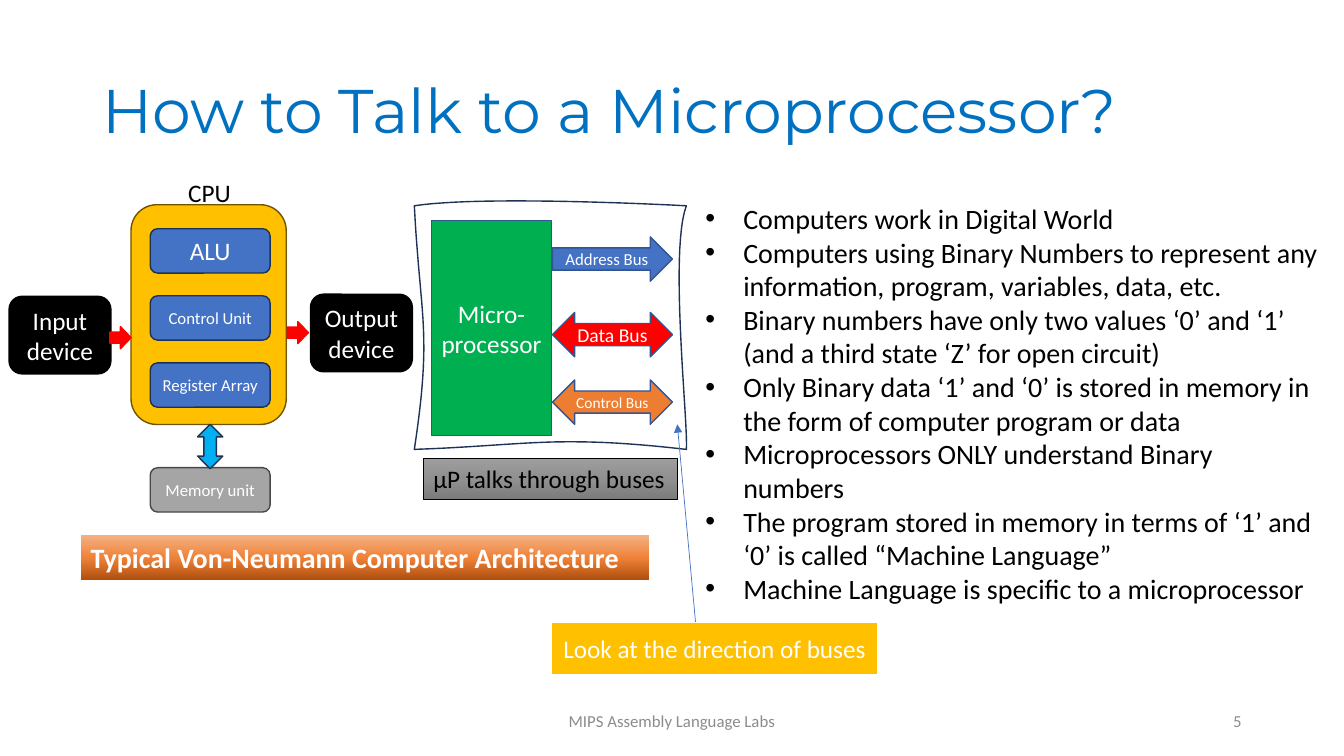
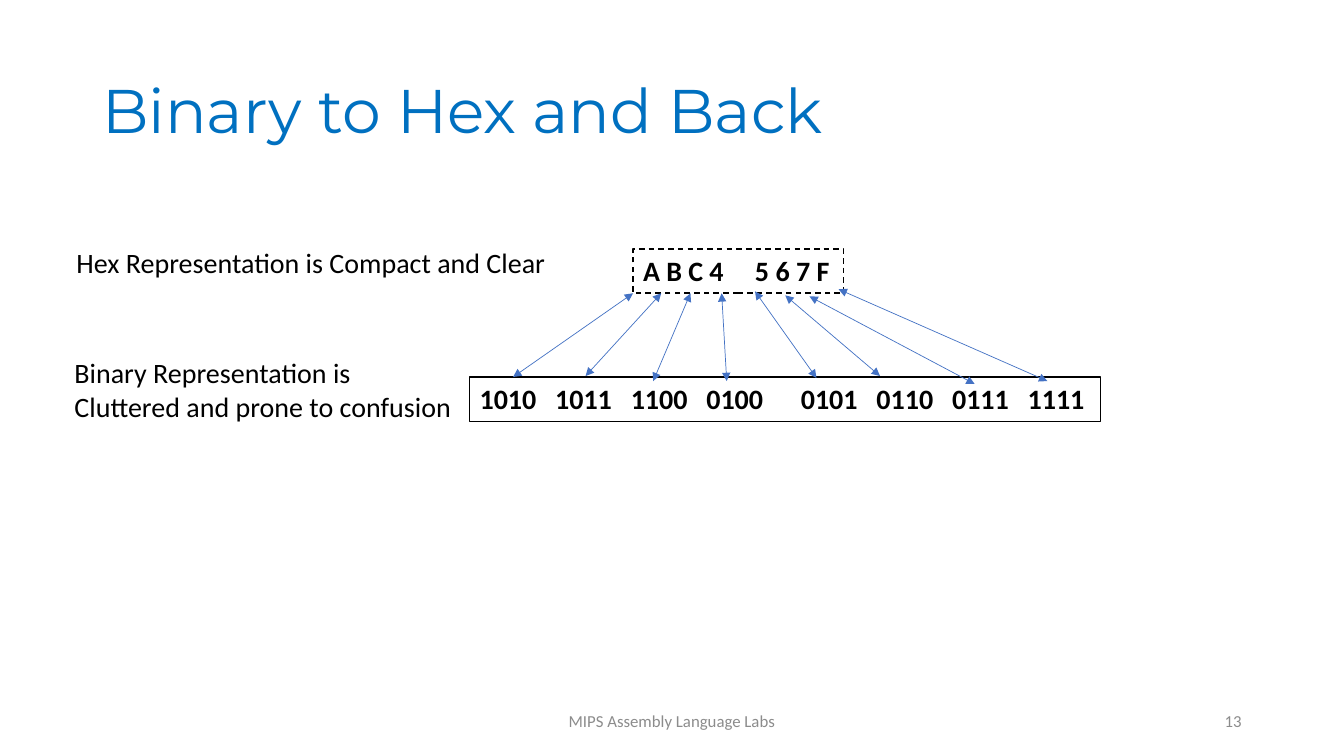
"""Build two lecture slides on microprocessor buses and on binary and hex notation."""

from dataclasses import dataclass
from typing import NamedTuple, Optional

from lxml.etree import SubElement
from pptx import Presentation
from pptx.dml.color import RGBColor
from pptx.enum.dml import MSO_LINE_DASH_STYLE as Dash
from pptx.enum.shapes import MSO_AUTO_SHAPE_TYPE as Kind, MSO_CONNECTOR_TYPE as Link
from pptx.enum.text import MSO_VERTICAL_ANCHOR as Anchor, PP_PARAGRAPH_ALIGNMENT as Align
from pptx.oxml.ns import qn
from pptx.shapes.autoshape import Shape
from pptx.slide import Slide
from pptx.util import Pt


@dataclass(frozen=True)
class Theme:
    title_font: str = "Montserrat"
    body_font: str = "Calibri"
    title_blue: str = "0070C0"
    black: str = "000000"
    white: str = "FFFFFF"
    muted: str = "8C8C8C"
    blue: str = "4472C4"
    navy: str = "1E3256"
    bus_edge: str = "325491"
    green: str = "00B050"
    red: str = "FF0000"
    orange: str = "ED7D31"
    gold: str = "FFC000"
    gold_edge: str = "705400"
    sky: str = "00B0F0"
    gray: str = "A5A5A5"
    gray_edge: str = "484848"
    orange_fade: tuple = ((0, "F4B183"), (52, "EE8137"), (100, "B0500F"))
    gray_fade: tuple = ((0, "9D9D9D"), (50, "909090"), (100, "7C7C7C"))
    title_size: float = 44
    body_size: float = 20
    label_size: float = 18
    data_bus_size: float = 14
    small_size: float = 12
    control_bus_size: float = 11


THEME = Theme()


class Box(NamedTuple):
    left: float
    top: float
    width: float
    height: float


class Spot(NamedTuple):
    x: float
    y: float


@dataclass(frozen=True)
class Words:
    text: str
    size: float = THEME.body_size
    color: str = THEME.black
    font: str = THEME.body_font
    bold: bool = False
    align: Align = Align.LEFT
    anchor: Anchor = Anchor.TOP
    wrap: bool = True
    spacing: Optional[float] = None
    bullet_indent: float = 0
    tabs: tuple = ()


@dataclass(frozen=True)
class Block:
    box: Box
    fill: Optional[str] = None
    edge: Optional[str] = None
    words: Optional[Words] = None
    kind: Kind = Kind.RECTANGLE
    edge_width: float = 1
    dashed: bool = False
    fade: tuple = ()


def label(text: str, size: float = THEME.label_size) -> Words:
    """Return white text centred in its block."""
    return Words(text, size, THEME.white, align=Align.CENTER, anchor=Anchor.MIDDLE)


def write(shape: Shape, words: Words) -> None:
    """Put styled text into a shape."""
    frame = shape.text_frame
    frame.text = words.text
    frame.word_wrap = words.wrap
    frame.vertical_anchor = words.anchor
    for paragraph in frame.paragraphs:
        paragraph.alignment = words.align
        if words.spacing:
            paragraph.line_spacing = words.spacing
        props = paragraph._p.get_or_add_pPr()
        if words.bullet_indent:
            props.set("marL", str(Pt(words.bullet_indent)))
            props.set("indent", str(-Pt(words.bullet_indent)))
            SubElement(props, qn("a:buFont"), typeface="Arial")
            SubElement(props, qn("a:buChar"), char="•")
        if words.tabs:
            stops = SubElement(props, qn("a:tabLst"))
            for stop in words.tabs:
                SubElement(stops, qn("a:tab"), pos=str(Pt(stop)), algn="l")
        for run in paragraph.runs:
            run.font.name = words.font
            run.font.size = Pt(words.size)
            run.font.bold = words.bold
            run.font.color.rgb = RGBColor.from_string(words.color)


def add_text(slide: Slide, box: Box, words: Words) -> None:
    """Add a plain text box."""
    write(slide.shapes.add_textbox(*map(Pt, box)), words)


def paint_fade(shape: Shape, fade: tuple) -> None:
    """Fill a shape with a gradient running from top to bottom."""
    shape.fill.gradient()
    shape.fill.gradient_angle = 270
    stops = shape._element.spPr.find(qn("a:gradFill")).find(qn("a:gsLst"))
    for old in list(stops):
        stops.remove(old)
    for percent, color in fade:
        stop = SubElement(stops, qn("a:gs"), pos=str(percent * 1000))
        SubElement(stop, qn("a:srgbClr"), val=color)


def paint(shape: Shape, block: Block) -> None:
    """Apply the fill and edge of a block."""
    shape.shadow.inherit = False
    if block.fade:
        paint_fade(shape, block.fade)
    elif block.fill:
        shape.fill.solid()
        shape.fill.fore_color.rgb = RGBColor.from_string(block.fill)
    else:
        shape.fill.background()
    if block.edge:
        shape.line.color.rgb = RGBColor.from_string(block.edge)
        shape.line.width = Pt(block.edge_width)
        if block.dashed:
            shape.line.dash_style = Dash.DASH
    else:
        shape.line.fill.background()


def add_block(slide: Slide, block: Block) -> None:
    """Add a preset shape with its text."""
    shape = slide.shapes.add_shape(block.kind, *map(Pt, block.box))
    paint(shape, block)
    if block.words:
        write(shape, block.words)


def add_arrow(slide: Slide, start: Spot, end: Spot, both: bool = False) -> None:
    """Add a thin arrow, pointed at its end or at both ends."""
    arrow = slide.shapes.add_connector(Link.STRAIGHT, *map(Pt, (*start, *end)))
    arrow.line.color.rgb = RGBColor.from_string(THEME.blue)
    arrow.line.width = Pt(0.5)
    line = arrow.line._get_or_add_ln()
    for tip in ("a:headEnd", "a:tailEnd") if both else ("a:tailEnd",):
        SubElement(line, qn(tip), type="triangle")
    SubElement(arrow._element.spPr, qn("a:effectLst"))


def curve(start: Spot, pull: Spot, push: Spot, end: Spot, steps: int = 24) -> list[Spot]:
    """Return points along a cubic curve, without its start."""
    points = []
    for step in range(1, steps + 1):
        t = step / steps
        weights = ((1 - t) ** 3, 3 * t * (1 - t) ** 2, 3 * t * t * (1 - t), t ** 3)
        points.append(Spot(*(sum(w * v for w, v in zip(weights, axis))
                             for axis in zip(start, pull, push, end))))
    return points


def add_wavy_frame(slide: Slide) -> None:
    """Draw the curved outline around the microprocessor."""
    corner = Spot(296, 147)
    sides = (
        (Spot(344, 139.7), Spot(471, 146), Spot(490.3, 147)),
        (Spot(478, 180), Spot(491.8, 302.4), Spot(490.3, 321)),
        (Spot(396.7, 310.3), Spot(376.6, 318.2), Spot(296, 321)),
        (Spot(308.9, 236.2), Spot(300.2, 228.2), corner),
    )
    outline: list[Spot] = [corner]
    for side in sides:
        outline += curve(outline[-1], *side)
    builder = slide.shapes.build_freeform(Pt(corner.x), Pt(corner.y))
    builder.add_line_segments([(Pt(x), Pt(y)) for x, y in outline[1:]], close=True)
    paint(builder.convert_to_shape(), Block(Box(0, 0, 0, 0), edge=THEME.navy))


def start_slide(deck: Presentation, title: str, number: int) -> Slide:
    """Add a blank slide with the shared title and footer."""
    slide = deck.slides.add_slide(deck.slide_layouts[6])
    add_text(slide, Box(66, 28.8, 828, 104.4),
             Words(title, THEME.title_size, THEME.title_blue, THEME.title_font,
                   anchor=Anchor.MIDDLE, spacing=0.9))
    for text, left, width, align in (("MIPS Assembly Language Labs", 318, 324, Align.CENTER),
                                     (str(number), 678, 216, Align.RIGHT)):
        add_text(slide, Box(left, 500.4, width, 28.8),
                 Words(text, THEME.small_size, THEME.muted, align=align, anchor=Anchor.MIDDLE))
    return slide


def build_microprocessor(deck: Presentation) -> None:
    """Build the slide on computer architecture and buses."""
    slide = start_slide(deck, "How to Talk to a Microprocessor?", 5)
    unit_width, unit_height, unit_left, bus_left = 85.7, 31.7, 107.3, 394.6
    rounded, two_way = Kind.ROUNDED_RECTANGLE, Kind.LEFT_RIGHT_ARROW
    blocks = [
        Block(Box(93.6, 146.2, 110.9, 157), THEME.gold, THEME.gold_edge, kind=rounded),
        Block(Box(57.6, 382.3, 406, 31.7), fade=THEME.orange_fade,
              words=Words("Typical Von-Neumann Computer Architecture",
                          color=THEME.white, bold=True, wrap=False)),
        Block(Box(308.2, 157.7, unit_width, 153.4), THEME.green, THEME.bus_edge,
              label("Micro-processor")),
    ]
    for name, top, color, size, kind in (
        ("Address Bus", 169.2, THEME.blue, THEME.small_size, Kind.RIGHT_ARROW),
        ("Data Bus", 223.2, THEME.red, THEME.data_bus_size, two_way),
        ("Control Bus", 271.4, THEME.orange, THEME.control_bus_size, two_way),
    ):
        blocks.append(Block(Box(bus_left, top, unit_width, unit_height), color,
                            THEME.bus_edge, label(name, size), kind))
    for name, left, top in (("Input device", 6.5, 211.7), ("Output device", 221.8, 210.2)):
        blocks.append(Block(Box(left, top, 72.7, 55.4), THEME.black, THEME.black,
                            label(name), rounded))
    for row, (name, size) in enumerate((("ALU", THEME.label_size),
                                        ("Control Unit", THEME.small_size),
                                        ("Register Array", THEME.small_size))):
        blocks.append(Block(Box(unit_left, 163.4 + 47.9 * row, unit_width, unit_height),
                            THEME.blue, THEME.navy, label(name, size), rounded))
    blocks.append(Block(Box(unit_left, 334.1, unit_width, unit_height), THEME.gray,
                        THEME.gray_edge, label("Memory unit", THEME.small_size), rounded))
    for left, top in ((78.5, 233.3), (205.2, 229.7)):
        blocks.append(Block(Box(left, top, 15.1, 15.8), THEME.red, THEME.red,
                            kind=Kind.RIGHT_ARROW))
    blocks += [
        Block(Box(141.1, 303.1, 18, unit_height), THEME.sky, THEME.navy,
              kind=Kind.UP_DOWN_ARROW),
        Block(Box(302.4, 327.6, 181.4, 28.8), edge=THEME.black, edge_width=0.5,
              fade=THEME.gray_fade,
              words=Words("μP talks through buses", THEME.label_size, wrap=False)),
        Block(Box(393.8, 444.2, 233.3, 38.2), THEME.gold, THEME.white,
              label("Look at the direction of buses"), edge_width=1.5),
    ]
    for block in blocks:
        add_block(slide, block)
    add_wavy_frame(slide)
    add_text(slide, Box(127.4, 123.1, 45.4, 28.8), Words("CPU", THEME.label_size, wrap=False))
    facts = (
        "Computers work in Digital World",
        "Computers using Binary Numbers to represent any information, program, variables, data, etc.",
        "Binary numbers have only two values ‘0’ and ‘1’ (and a third state ‘Z’ for open circuit)",
        "Only Binary data ‘1’ and ‘0’ is stored in memory in the form of computer program or data",
        "Microprocessors ONLY understand Binary numbers",
        "The program stored in memory in terms of ‘1’ and ‘0’ is called “Machine Language”",
        "Machine Language is specific to a microprocessor",
    )
    add_text(slide, Box(496.8, 140.4, 453, 298), Words("\n".join(facts), bullet_indent=27))
    add_arrow(slide, Spot(496.8, 444.2), Spot(483.8, 303.1))


def build_hex(deck: Presentation) -> None:
    """Build the slide pairing hex digits with binary groups."""
    slide = start_slide(deck, "Binary to Hex and Back", 13)
    groups = ("1010", "1011", "1100", "0100", "0101", "0110", "0111", "1111")
    group_tabs = tuple(54 * i + (13.5 if i >= 4 else 0) for i in range(1, len(groups)))
    add_block(slide, Block(Box(452.2, 177.8, 150.5, 31.7), THEME.white, THEME.black,
                           Words("A B C 4\t5 6 7 F", bold=True, tabs=(80,)), dashed=True))
    add_block(slide, Block(Box(335.5, 269.3, 450.7, 31.7), THEME.white, THEME.black,
                           Words("\t".join(groups), bold=True, tabs=group_tabs)))
    for digit, group in (
        (Spot(452.2, 209.5), Spot(366.5, 269.3)), (Spot(472.3, 209.5), Spot(418.3, 268.6)),
        (Spot(493.2, 209.5), Spot(466.6, 272.2)), (Spot(515.5, 209.5), Spot(519.1, 272.2)),
        (Spot(539.3, 208.1), Spot(583.2, 270)), (Spot(560.9, 211), Spot(628.6, 268.6)),
        (Spot(578.2, 211.7), Spot(696.2, 274.3)), (Spot(599, 206.6), Spot(748.1, 272.2)),
    ):
        add_arrow(slide, digit, group, both=True)
    add_text(slide, Box(47.5, 172.1, 352.8, 31.7),
             Words("Hex Representation is Compact and Clear", wrap=False))
    add_text(slide, Box(46.1, 250.6, 286.6, 55.4),
             Words("Binary Representation is\nCluttered and prone to confusion", wrap=False))


def main() -> None:
    """Create and save the deck."""
    deck = Presentation()
    deck.slide_width, deck.slide_height = Pt(960), Pt(540)
    build_microprocessor(deck)
    build_hex(deck)
    deck.save("out.pptx")


if __name__ == "__main__":
    main()
